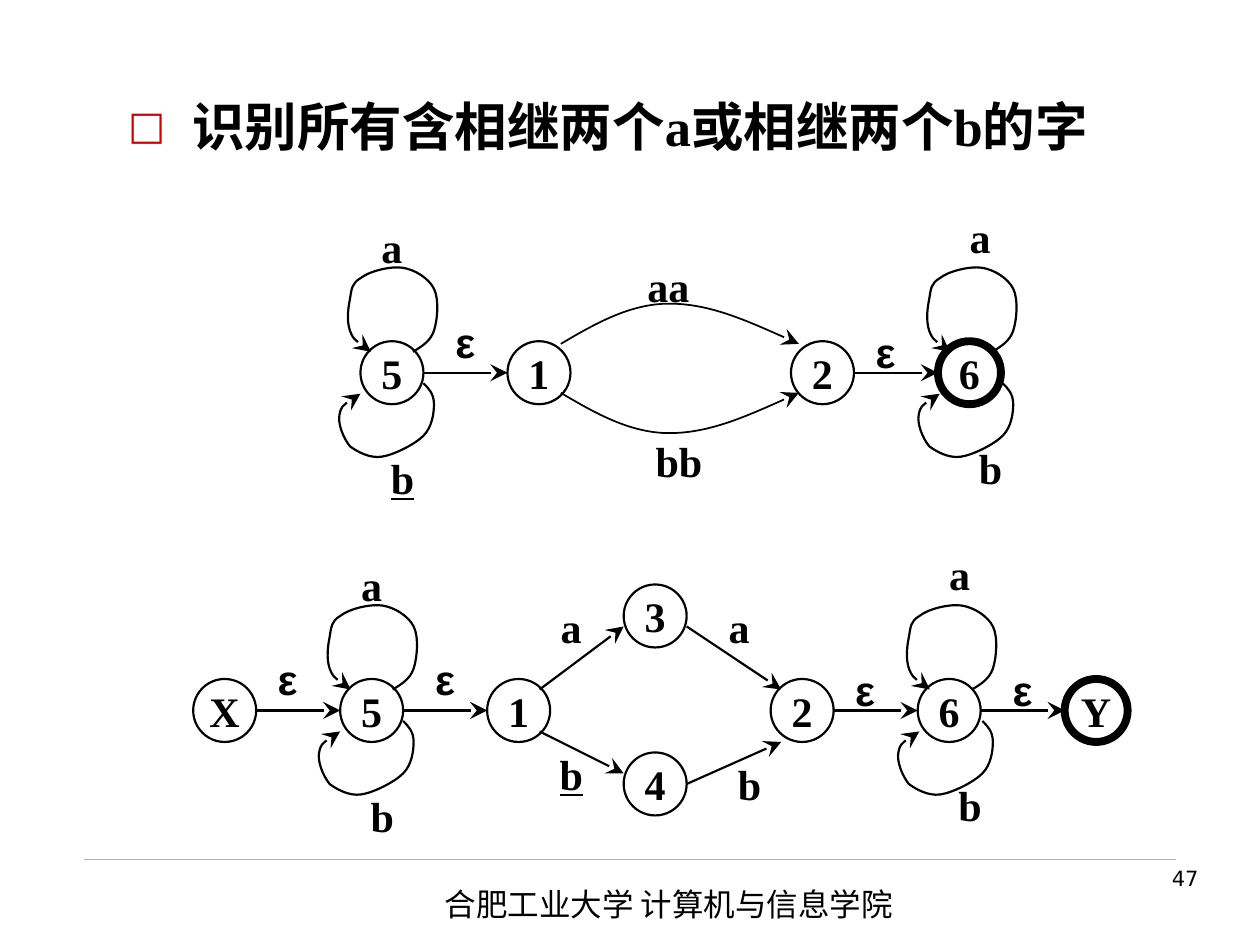
from dataclasses import dataclass

from lxml import etree
from pptx import Presentation
from pptx.dml.color import RGBColor
from pptx.enum.shapes import MSO_CONNECTOR, MSO_SHAPE
from pptx.enum.text import MSO_ANCHOR, MSO_AUTO_SIZE, PP_ALIGN
from pptx.oxml import parse_xml
from pptx.oxml.ns import nsdecls, qn
from pptx.util import Pt


@dataclass(frozen=True)
class Theme:
    ink: RGBColor = RGBColor(0x00, 0x00, 0x00)
    rule: RGBColor = RGBColor(0xB0, 0xB0, 0xB0)
    bullet: str = "CC0000"
    latin: str = "Times New Roman"
    greek: str = "Arial"
    chinese: str = "Noto Sans CJK SC"
    number: str = "DejaVu Sans"
    title_size: int = 30
    state_size: int = 24
    footer_size: int = 18
    number_size: int = 12
    edge_width: float = 1.25
    arc_width: float = 1
    final_width: float = 4.5
    rule_width: float = 0.25


THEME = Theme()
DIAMETER = 36
# Offsets from the top left corner of a state; each curve is a start and Bézier triples.
UPPER_LOOP = [
    (30, 6), (35, 3), (40, 0), (42, -6), (44, -12), (45, -24), (42, -30),
    (39, -36), (31, -41), (24, -42), (17, -43), (5, -40), (0, -36),
    (-5, -33), (-5, -30), (-6, -24), (-7, -19), (-8, -12), (-6, -6),
    (-4, -1), (1, 3), (6, 6),
]
LOWER_LOOP = [
    (36, 24), (39, 27), (42, 30), (42, 36), (42, 41), (41, 49), (36, 54),
    (31, 59), (19, 65), (12, 66), (5, 67), (-2, 63), (-6, 60),
    (-10, 55), (-13, 47), (-12, 42), (-11, 37), (-6, 33), (0, 30),
]
UPPER_ARC = [(114.5, 1.5), (134, -10), (154, -21.5), (176.5, -21.5),
             (199, -21.5), (225, -10), (250.5, 1.5)]
LOWER_ARC = [(x, 31 - y) for x, y in UPPER_ARC]


def format_text(text_frame, text, size, font_name=THEME.latin, bold=False):
    text_frame.text = text
    run = text_frame.paragraphs[0].runs[0]
    run.font.size = Pt(size)
    run.font.name = font_name
    run.font.bold = bold
    run.font.color.rgb = THEME.ink
    east_asian = etree.SubElement(run.font._element, qn("a:ea"))
    east_asian.set("typeface", THEME.chinese)
    return run


def center_text(text_frame, text, font_name=THEME.latin):
    run = format_text(text_frame, text, THEME.state_size, font_name, bold=True)
    text_frame.word_wrap = False
    text_frame.margin_left = text_frame.margin_right = Pt(0)
    text_frame.vertical_anchor = MSO_ANCHOR.MIDDLE
    text_frame.paragraphs[0].alignment = PP_ALIGN.CENTER
    return run


def style_line(line, width, color=THEME.ink, arrow=False):
    line.width = Pt(width)
    line.color.rgb = color
    if arrow:
        tail = etree.SubElement(line._get_or_add_ln(), qn("a:tailEnd"))
        for name, value in (("type", "stealth"), ("w", "lg"), ("len", "lg")):
            tail.set(name, value)


def add_text_box(slide, box, text, size, font_name):
    text_box = slide.shapes.add_textbox(*map(Pt, box))
    text_box.text_frame.word_wrap = True
    format_text(text_box.text_frame, text, size, font_name)
    return text_box


def add_straight(slide, start, end, width, color=THEME.ink, arrow=False):
    connector = slide.shapes.add_connector(
        MSO_CONNECTOR.STRAIGHT, *map(Pt, (*start, *end)))
    style_line(connector.line, width, color, arrow)
    etree.SubElement(connector._element.spPr, qn("a:effectLst"))


def add_title(slide):
    title = slide.shapes.title
    title.left, title.top, title.width, title.height = map(Pt, (66, 48, 612, 48))
    text_frame = title.text_frame
    text_frame.auto_size = MSO_AUTO_SIZE.NONE
    format_text(text_frame, "识别所有含相继两个a或相继两个b的字",
                THEME.title_size, bold=True)
    paragraph = text_frame.paragraphs[0]
    paragraph.alignment = PP_ALIGN.LEFT
    properties = paragraph._p.get_or_add_pPr()
    properties.set("marL", str(Pt(36.7)))
    properties.set("indent", str(Pt(-36.7)))
    for bullet in (
        f'<a:buClr {nsdecls("a")}><a:srgbClr val="{THEME.bullet}"/></a:buClr>',
        f'<a:buSzPct {nsdecls("a")} val="75000"/>',
        f'<a:buFont {nsdecls("a")} typeface="{THEME.number}"/>',
        f'<a:buChar {nsdecls("a")} char="□"/>',
    ):
        properties.append(parse_xml(bullet))


def add_footer(slide):
    add_straight(slide, (48, 491), (672, 491), THEME.rule_width, THEME.rule)
    add_text_box(slide, (247, 502, 340, 29), "合肥工业大学 计算机与信息学院",
                 THEME.footer_size, THEME.chinese)
    number = add_text_box(slide, (536, 491, 156, 37), "47",
                          THEME.number_size, THEME.number)
    number.text_frame.paragraphs[0].alignment = PP_ALIGN.RIGHT


class Automaton:
    """Draws at offsets from the top left corner of state 5."""

    def __init__(self, slide, left, top):
        self.slide = slide
        self.left = left
        self.top = top

    def place(self, x, y):
        return self.left + x, self.top + y

    def add_state(self, name, x, y=0, final=False):
        shape = self.slide.shapes.add_shape(
            MSO_SHAPE.OVAL, *map(Pt, (*self.place(x, y), DIAMETER, DIAMETER)))
        shape.shadow.inherit = False
        shape.fill.background()
        style_line(shape.line, THEME.final_width if final else THEME.edge_width)
        center_text(shape.text_frame, name)

    def add_label(self, text, x, y, underline=False):
        label = self.slide.shapes.add_textbox(
            *map(Pt, (*self.place(x, y), DIAMETER, DIAMETER)))
        font_name = THEME.greek if text == "ε" else THEME.latin
        run = center_text(label.text_frame, text, font_name)
        if underline:
            run.font.underline = True

    def add_edge(self, start, end):
        add_straight(self.slide, self.place(*start), self.place(*end),
                     THEME.edge_width, arrow=True)

    def add_curve(self, points, width, state_x=0):
        start, *rest = [self.place(x + state_x, y) for x, y in points]
        builder = self.slide.shapes.build_freeform(*map(Pt, start))
        builder.add_line_segments([(Pt(x), Pt(y)) for x, y in rest], close=False)
        shape = builder.convert_to_shape()
        segments = list(shape._element.iter(qn("a:lnTo")))
        for first in range(0, len(segments), 3):
            curve = etree.SubElement(segments[first].getparent(), qn("a:cubicBezTo"))
            for segment in segments[first:first + 3]:
                curve.append(segment[0])
                segment.getparent().remove(segment)
        shape.shadow.inherit = False
        shape.fill.background()
        style_line(shape.line, width, arrow=True)

    def add_common_part(self, six_is_final, underline_b):
        for name, x in (("5", 0), ("1", 84), ("2", 246)):
            self.add_state(name, x)
        self.add_state("6", 330, final=six_is_final)
        for state_x in (0, 331):
            self.add_curve(UPPER_LOOP, THEME.edge_width, state_x)
            self.add_curve(LOWER_LOOP, THEME.edge_width, state_x)
        self.add_edge((36, 18), (84, 18))
        self.add_edge((282, 18), (330, 18))
        self.add_label("b", 6, 60, underline_b)
        for text, x, y in (("a", 0, -72), ("ε", 42, -18), ("ε", 282, -12),
                           ("a", 336, -78), ("b", 342, 54)):
            self.add_label(text, x, y)


def add_upper_automaton(slide):
    automaton = Automaton(slide, 206, 195)
    automaton.add_common_part(six_is_final=True, underline_b=True)
    automaton.add_label("aa", 158, -50)
    automaton.add_label("bb", 164, 50)
    for arc in (UPPER_ARC, LOWER_ARC):
        automaton.add_curve(arc, THEME.arc_width)


def add_lower_automaton(slide):
    automaton = Automaton(slide, 194.4, 388)
    automaton.add_common_part(six_is_final=False, underline_b=False)
    for name, x, y in (("X", -84, 0), ("3", 162, -54), ("4", 162, 42)):
        automaton.add_state(name, x, y)
    automaton.add_state("Y", 414, final=True)
    for start, end in (((-48, 18), (0, 18)), ((366, 18), (414, 18)),
                       ((114, 6), (162, -30)), ((114, 30), (162, 54)),
                       ((198, -30), (252, 6)), ((198, 60), (252, 36))):
        automaton.add_edge(start, end)
    for text, x, y in (("ε", -48, -18), ("ε", 372, -12), ("a", 114, -48),
                       ("a", 210, -48), ("b", 216, 42)):
        automaton.add_label(text, x, y)
    automaton.add_label("b", 114, 36, underline=True)


def main():
    presentation = Presentation()
    presentation.slide_width, presentation.slide_height = Pt(720), Pt(540)
    slide = presentation.slides.add_slide(presentation.slide_layouts[5])
    add_footer(slide)
    add_title(slide)
    slide.shapes.title.text_frame.vertical_anchor = MSO_ANCHOR.MIDDLE
    add_lower_automaton(slide)
    add_upper_automaton(slide)
    presentation.save("out.pptx")


if __name__ == "__main__":
    main()
